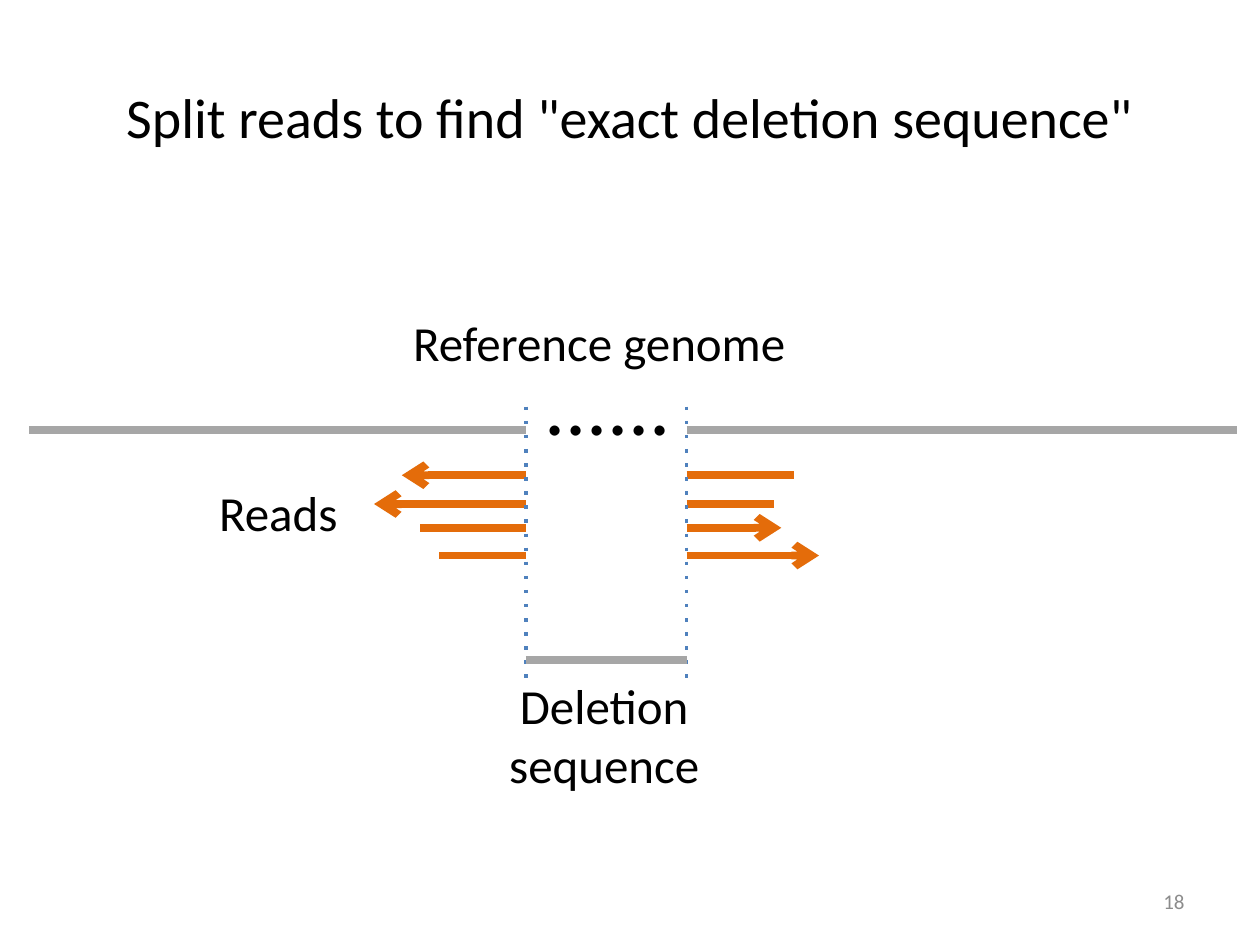
from lxml.etree import SubElement
from pptx import Presentation
from pptx.dml.color import RGBColor
from pptx.enum.shapes import MSO_CONNECTOR
from pptx.enum.text import MSO_ANCHOR, PP_ALIGN
from pptx.oxml.ns import qn
from pptx.util import Cm, Pt

TITLE = 'Split reads to find "exact deletion sequence"'
BLACK, GREY, ORANGE, BLUE, PALE = "000000", "A6A6A6", "E46C0A", "4F81BD", "8C8C8C"
LEFT_BREAK, RIGHT_BREAK = 10.6, 13.84
GENOME_LEFT, GENOME_RIGHT, GENOME_Y = 0.58, 24.94, 8.66
DELETION_Y = 13.31
BREAK_TOP, BREAK_BOTTOM = 8.2, 13.84

# y, left end, right end, side with the arrowhead
READS = [
    (9.58, 8.1, 16.0, "left"),
    (10.16, 7.54, 15.6, "left"),
    (10.64, 8.46, 15.75, "right"),
    (11.2, 8.84, 16.51, "right"),
]

# text, left, top, width, height, size, colour, alignment, anchor, wrap
LABELS = [
    ("......", 10.72, 6.96, 3.1, 2.31, 48, BLACK, PP_ALIGN.LEFT, MSO_ANCHOR.TOP, False),
    ("Reference genome ", 7.62, 6.17, 9.14, 1.45, 28, BLACK, PP_ALIGN.CENTER, MSO_ANCHOR.TOP, True),
    ("Deletion sequence", 9.83, 13.49, 4.7, 2.64, 28, BLACK, PP_ALIGN.CENTER, MSO_ANCHOR.TOP, True),
    ("Reads", 4.17, 9.6, 3.38, 1.45, 28, BLACK, PP_ALIGN.LEFT, MSO_ANCHOR.TOP, True),
    ("18", 18.21, 17.65, 5.92, 1.02, 12, PALE, PP_ALIGN.RIGHT, MSO_ANCHOR.MIDDLE, True),
]


def color(value):
    return RGBColor.from_string(value)


def place(shape, left, top, width, height):
    shape.left, shape.top = Cm(left), Cm(top)
    shape.width, shape.height = Cm(width), Cm(height)


def write(shape, text, size, text_color, alignment, anchor, wrap=True):
    frame = shape.text_frame
    frame.word_wrap = wrap
    frame.vertical_anchor = anchor
    paragraph = frame.paragraphs[0]
    paragraph.text = text
    paragraph.alignment = alignment
    paragraph.font.name = "Calibri"
    paragraph.font.size = Pt(size)
    paragraph.font.color.rgb = color(text_color)


def add_line(slide, start, end, line_color, width=4.5, dash=None, arrow=False):
    connector = slide.shapes.add_connector(
        MSO_CONNECTOR.STRAIGHT, *(Cm(value) for value in (*start, *end))
    )
    connector.line.color.rgb = color(line_color)
    connector.line.width = Pt(width)
    properties = connector._element.spPr
    outline = properties.find(qn("a:ln"))
    if dash:
        SubElement(outline, qn("a:prstDash"), val=dash)
    if arrow:
        SubElement(outline, qn("a:tailEnd"), type="arrow")
    SubElement(properties, qn("a:effectLst"))


def main():
    presentation = Presentation()
    presentation.slide_width, presentation.slide_height = Cm(25.4), Cm(19.05)
    slide = presentation.slides.add_slide(presentation.slide_layouts[5])

    title = slide.shapes.title
    place(title, 1.27, 0.76, 22.86, 3.18)
    write(title, TITLE, 32, BLACK, PP_ALIGN.CENTER, MSO_ANCHOR.MIDDLE)

    for break_x, genome_end in ((LEFT_BREAK, GENOME_LEFT), (RIGHT_BREAK, GENOME_RIGHT)):
        add_line(slide, (break_x, GENOME_Y), (genome_end, GENOME_Y), GREY)

    for y, left, right, head in READS:
        add_line(slide, (LEFT_BREAK, y), (left, y), ORANGE, arrow=head == "left")
        add_line(slide, (RIGHT_BREAK, y), (right, y), ORANGE, arrow=head == "right")

    for break_x in (LEFT_BREAK, RIGHT_BREAK):
        add_line(slide, (break_x, BREAK_TOP), (break_x, BREAK_BOTTOM), BLUE, 2, "dot")
    add_line(slide, (LEFT_BREAK, DELETION_Y), (RIGHT_BREAK, DELETION_Y), GREY)

    for text, left, top, width, height, *style in LABELS:
        box = slide.shapes.add_textbox(Cm(left), Cm(top), Cm(width), Cm(height))
        write(box, text, *style)

    presentation.save("out.pptx")


if __name__ == "__main__":
    main()
